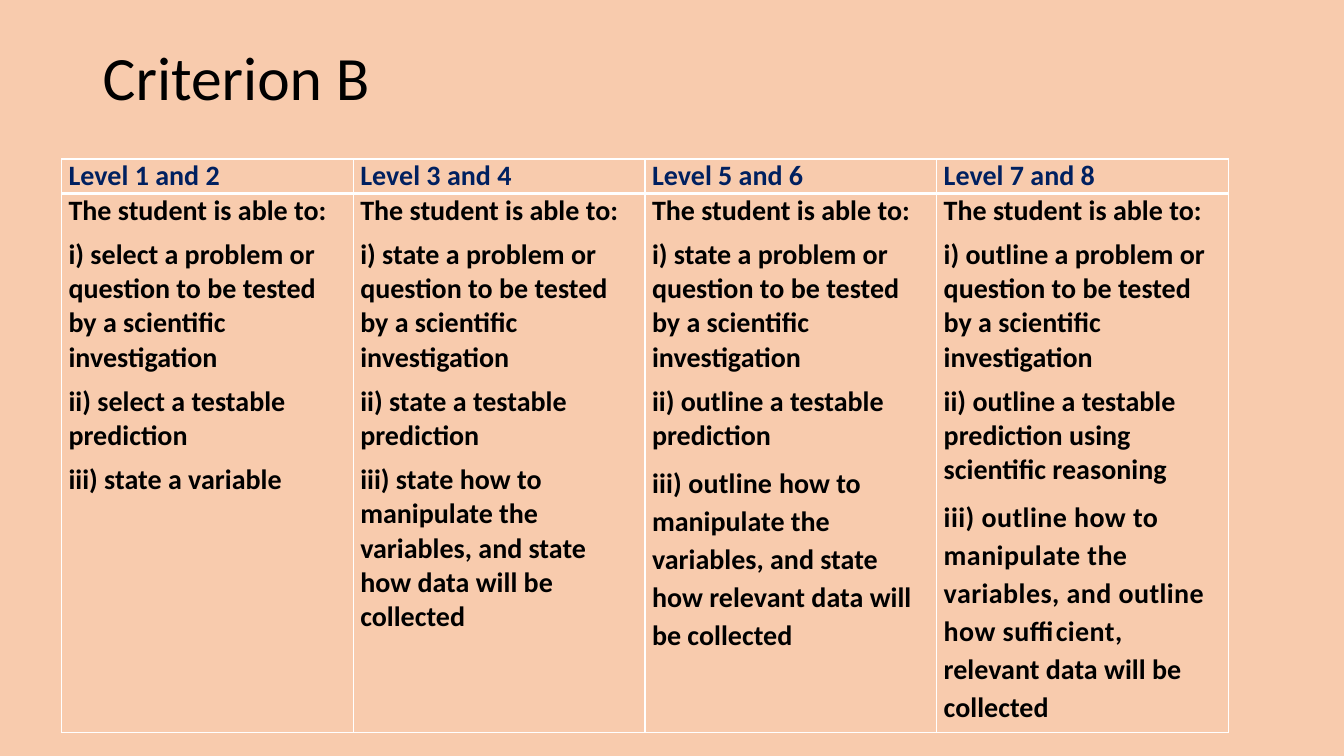
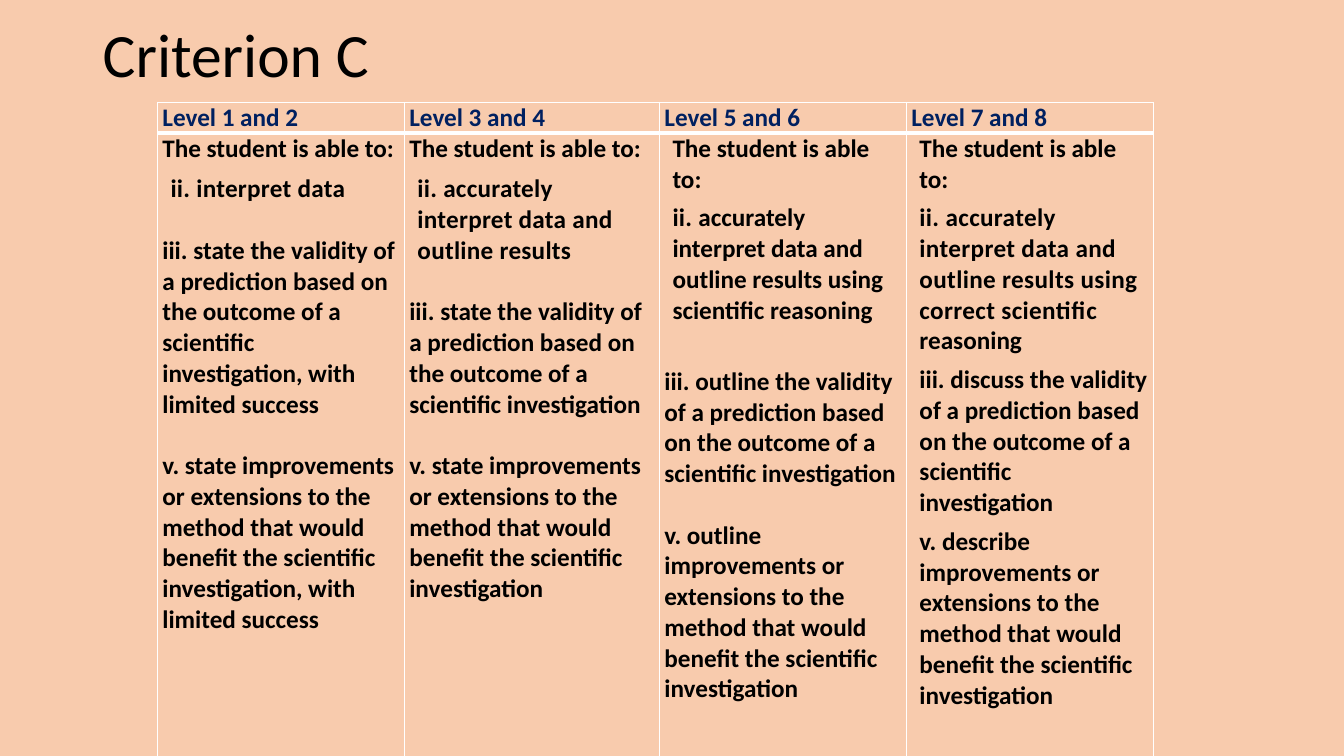
from dataclasses import dataclass

from lxml.etree import SubElement
from pptx import Presentation
from pptx.dml.color import RGBColor
from pptx.enum.text import MSO_ANCHOR, MSO_AUTO_SIZE, PP_ALIGN
from pptx.oxml.ns import qn
from pptx.util import Pt


@dataclass(frozen=True)
class Theme:
    font: str = "Calibri"
    title_size: int = 44
    background: str = "F8CBAD"
    ink: str = "000000"
    heading: str = "002060"
    rule: str = "FFFFFF"
    thin: int = 1
    thick: int = 3


@dataclass(frozen=True)
class Strand:
    """One paragraph of a level; runs pair a text with its letter spacing."""
    runs: tuple
    gap: float = 7
    indent: float = 0
    leading: float = 1


def strand(text, tracking=0, **layout):
    return Strand(((text, tracking),), **layout)


THEME = Theme()
STEP = 5.8      # indent of the shifted strands
LINE = 22       # one line of 18 pt text

# Content
LEVELS = ["Level 1 and 2", "Level 3 and 4", "Level 5 and 6", "Level 7 and 8"]
OPENING = "The student is able to:"
QUESTION = "a problem or question to be tested by a scientific investigation"
VALIDITY = "the validity of a prediction based on the outcome of a scientific investigation"
IMPROVEMENTS = ("improvements or extensions to the method that would benefit "
                "the scientific investigation")

CRITERIA = [
    {
        "title": "Criterion B", "title_box": (66.2, 28.8, 828, 57.6),
        "origin": (44, 113.6), "columns": [208.4] * 4, "rows": [24.4, 385.2],
        "size": 20, "inset": 5,
        "strands": [
            [strand(OPENING),
             strand(f"i) select {QUESTION}"),
             strand("ii) select a testable prediction"),
             strand("iii) state a variable")],
            [strand(OPENING),
             strand(f"i) state {QUESTION}"),
             strand("ii) state a testable prediction"),
             strand("iii) state how to manipulate the variables, and state how "
                    "data will be collected")],
            [strand(OPENING),
             strand(f"i) state {QUESTION}"),
             strand("ii) outline a testable prediction"),
             Strand((("iii) outline ", 0.1),
                     ("how to manipulate the variables, and state how relevant "
                      "data will be collected", 0)), leading=1.11)],
            [strand(OPENING),
             strand(f"i) outline {QUESTION}"),
             strand("ii) outline a testable prediction using scientific reasoning"),
             Strand((("iii) outline how to manipulate the variables, and outline "
                      "how sufficient, ", 0.3),
                     ("relevant data will be collected", 0)), leading=1.11)],
        ],
    },
    {
        "title": "Criterion C", "title_box": (66.2, 9.4, 828, 64),
        "origin": (112.4, 73.2), "columns": [176.4, 182.2, 176.4, 176.4],
        "rows": [22, 449.6], "size": 18, "inset": 3.6,
        "strands": [
            [strand(OPENING),
             strand("ii. interpret data", 0.2, indent=STEP),
             strand(f"iii. state {VALIDITY}, with limited success", gap=LINE),
             strand(f"v. state {IMPROVEMENTS}, with limited success", gap=LINE)],
            [strand(OPENING),
             strand("ii. accurately interpret data and outline results", 0.2,
                    indent=STEP),
             strand(f"iii. state {VALIDITY}", gap=LINE),
             strand(f"v. state {IMPROVEMENTS}", gap=LINE)],
            [strand(OPENING, indent=STEP),
             Strand((("ii. ", 0.2),
                     ("accurately interpret data and outline results using "
                      "scientific reasoning", 0)), gap=5.7, indent=STEP),
             strand(f"iii. outline {VALIDITY}", gap=LINE + 7),
             strand(f"v. outline {IMPROVEMENTS}", gap=LINE)],
            [strand(OPENING, indent=STEP),
             Strand((("ii. accurately interpret data and outline results using "
                      "correct scientific ", 0.25), ("reasoning", 0)),
                    gap=5.7, indent=STEP),
             strand(f"iii. discuss {VALIDITY}", gap=5.7, indent=STEP),
             strand(f"v. describe {IMPROVEMENTS}", gap=5.7, indent=STEP)],
        ],
    },
]


def set_all(target, formats):
    for name, value in formats.items():
        setattr(target, name, value)


def format_font(font, size, color, bold=False):
    set_all(font, {"name": THEME.font, "size": Pt(size), "bold": bold})
    font.color.rgb = RGBColor.from_string(color)


def place_title(slide, criterion):
    title = slide.shapes.title
    left, top, width, height = map(Pt, criterion["title_box"])
    set_all(title, {"left": left, "top": top, "width": width, "height": height})
    frame = title.text_frame
    frame.text = criterion["title"]
    set_all(frame, {"vertical_anchor": MSO_ANCHOR.MIDDLE, "word_wrap": True,
                    "auto_size": MSO_AUTO_SIZE.NONE})
    heading = frame.paragraphs[0]
    set_all(heading, {"alignment": PP_ALIGN.LEFT, "line_spacing": 0.9})
    format_font(heading.runs[0].font, THEME.title_size, THEME.ink)


def style_cell(cell, inset, borders):
    set_all(cell, {"margin_left": Pt(inset), "margin_right": Pt(inset),
                   "margin_top": 0, "margin_bottom": 0,
                   "vertical_anchor": MSO_ANCHOR.TOP})
    properties = cell._tc.get_or_add_tcPr()
    for side in "LRTB":
        width = Pt(borders.get(side, THEME.thin))
        border = SubElement(properties, qn(f"a:ln{side}"), w=str(width))
        fill = SubElement(border, qn("a:solidFill"))
        SubElement(fill, qn("a:srgbClr"), val=THEME.rule)
    cell.fill.background()


def write_strands(cell, strands, size, color):
    frame = cell.text_frame
    for index, item in enumerate(strands):
        paragraph = frame.add_paragraph() if index else frame.paragraphs[0]
        set_all(paragraph, {"alignment": PP_ALIGN.LEFT,
                            "line_spacing": item.leading,
                            "space_before": Pt(item.gap if index else 0)})
        if item.indent:
            paragraph._p.get_or_add_pPr().set("marL", str(Pt(item.indent)))
        for text, tracking in item.runs:
            run = paragraph.add_run()
            run.text = text
            format_font(run.font, size, color, bold=True)
            if tracking:
                run._r.get_or_add_rPr().set("spc", str(round(tracking * 100)))


def add_levels(slide, criterion):
    columns, rows = criterion["columns"], criterion["rows"]
    left, top = criterion["origin"]
    levels = slide.shapes.add_table(len(rows), len(columns), Pt(left), Pt(top),
                                    Pt(sum(columns)), Pt(sum(rows))).table
    levels.horz_banding = False
    for column, width in zip(levels.columns, columns):
        column.width = Pt(width)
    for row, height in zip(levels.rows, rows):
        row.height = Pt(height)

    # Heading row, then the strands below a thick rule
    bands = [
        ([[strand(level)] for level in LEVELS], THEME.heading, {"B": THEME.thick}),
        (criterion["strands"], THEME.ink, {"T": THEME.thick}),
    ]
    for row, (contents, color, borders) in enumerate(bands):
        for column, strands in enumerate(contents):
            cell = levels.cell(row, column)
            style_cell(cell, criterion["inset"], borders)
            write_strands(cell, strands, criterion["size"], color)


def main():
    deck = Presentation()
    set_all(deck, {"slide_width": Pt(960), "slide_height": Pt(540)})
    backdrop = deck.slide_master.background.fill
    backdrop.solid()
    backdrop.fore_color.rgb = RGBColor.from_string(THEME.background)
    title_only = deck.slide_layouts[5]
    for criterion in CRITERIA:
        slide = deck.slides.add_slide(title_only)
        place_title(slide, criterion)
        add_levels(slide, criterion)
    deck.save("out.pptx")


if __name__ == "__main__":
    main()
